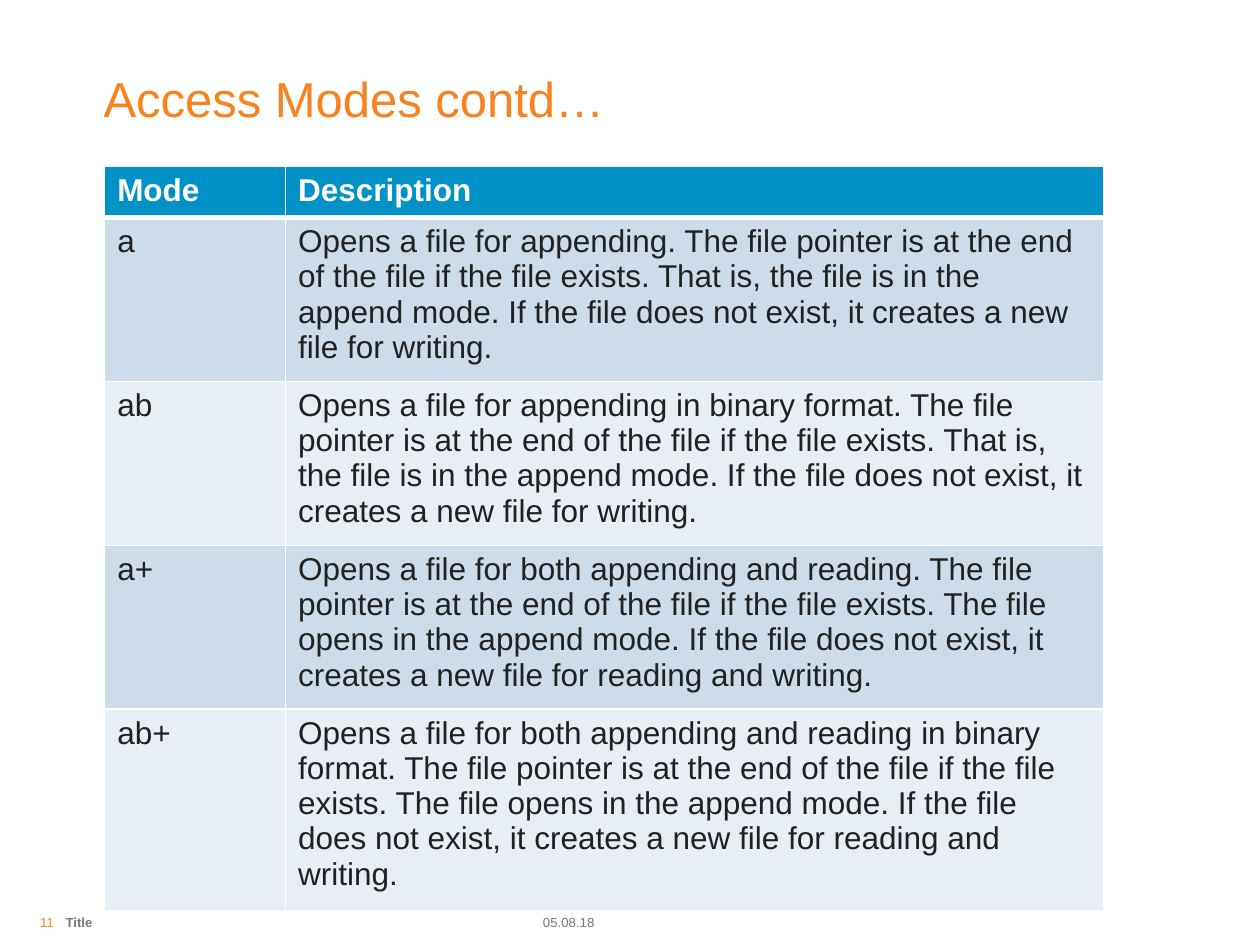
from lxml import etree
from pptx import Presentation
from pptx import util as u
from pptx.dml import color
from pptx.enum import text
from pptx.oxml import ns


def rgb(value):
    return color.RGBColor.from_string(value)


class Deck:
    """Holds the style and current slide, and adds each kind of element."""

    font = "Arial"
    orange, grey, dark, white, blue = "FA821E", "777777", "212121", "FFFFFF", "0092C7"
    bands = "CCDCEB", "E7EEF5"

    def __init__(self, slide):
        self.slide = slide

    def style(self, frame, size, fill, bold=False):
        for paragraph in frame.paragraphs:
            font = paragraph.font
            font.name, font.size, font.bold = self.font, u.Pt(size), bold
            font.color.rgb = rgb(fill)

    def label(self, words, box, size, fill, bold=False, inset=0, anchor=text.MSO_ANCHOR.MIDDLE):
        frame = self.slide.shapes.add_textbox(*map(u.Pt, box)).text_frame
        frame.word_wrap = True
        frame.vertical_anchor = anchor
        frame.margin_left = frame.margin_right = u.Pt(inset)
        frame.margin_top = frame.margin_bottom = u.Pt(inset)
        frame.text = words
        self.style(frame, size, fill, bold)

    def borders(self, cell, widths):
        properties = cell._tc.get_or_add_tcPr()
        for side, width in widths.items():
            line = etree.SubElement(properties, ns.qn(f"a:ln{side}"), w=str(u.Pt(width)))
            fill = etree.SubElement(line, ns.qn("a:solidFill"))
            etree.SubElement(fill, ns.qn("a:srgbClr"), val=self.white)

    def table(self, rows, left, top, widths, heights):
        box = left, top, sum(widths), sum(heights)
        table = self.slide.shapes.add_table(len(rows), len(widths), *map(u.Pt, box)).table
        for column, width in zip(table.columns, widths):
            column.width = u.Pt(width)
        for index, (row, height, words) in enumerate(zip(table.rows, heights, rows)):
            row.height = u.Pt(height)
            header = index == 0
            for cell, value in zip(row.cells, words):
                cell.text = value
                self.style(cell.text_frame, 18, self.white if header else self.dark, header)
                self.borders(cell, {"L": 1, "R": 1, "T": 3 if index == 1 else 1, "B": 3 if header else 1})
                cell.fill.solid()
                cell.fill.fore_color.rgb = rgb(self.blue if header else self.bands[(index - 1) % 2])


MODES = [
    ("Mode", "Description"),
    ("a", "Opens a file for appending. The file pointer is at the end of the file if the file exists. "
          "That is, the file is in the append mode. If the file does not exist, it creates a new file for writing."),
    ("ab", "Opens a file for appending in binary format. The file pointer is at the end of the file if the file "
           "exists. That is, the file is in the append mode. If the file does not exist, it creates a new file "
           "for writing."),
    ("a+", "Opens a file for both appending and reading. The file pointer is at the end of the file if the file "
           "exists. The file opens in the append mode. If the file does not exist, it creates a new file for "
           "reading and writing."),
    ("ab+", "Opens a file for both appending and reading in binary format. The file pointer is at the end of the "
            "file if the file exists. The file opens in the append mode. If the file does not exist, it creates "
            "a new file for reading and writing."),
]

presentation = Presentation()
presentation.slide_width, presentation.slide_height = u.Pt(720), u.Pt(540)
deck = Deck(presentation.slides.add_slide(presentation.slide_layouts[6]))

deck.label("Access Modes contd…", (59.2, 34.5, 597, 38), 28, deck.orange, anchor=text.MSO_ANCHOR.BOTTOM)
deck.table(MODES, 59.8, 95.2, (103.4, 467.8), (29.2, 87.7, 87.7, 87.7, 107.8))

footer_top, footer_height, footer_size = 520, 14.4, 7.5
deck.label("05.08.18", (307.4, footer_top, 168, footer_height), footer_size, deck.grey, inset=2.9)
deck.label("Title", (37.5, footer_top, 269, footer_height), footer_size, deck.grey, bold=True)
deck.label("11", (23, footer_top, 20, footer_height), footer_size, deck.orange)

presentation.save("out.pptx")
